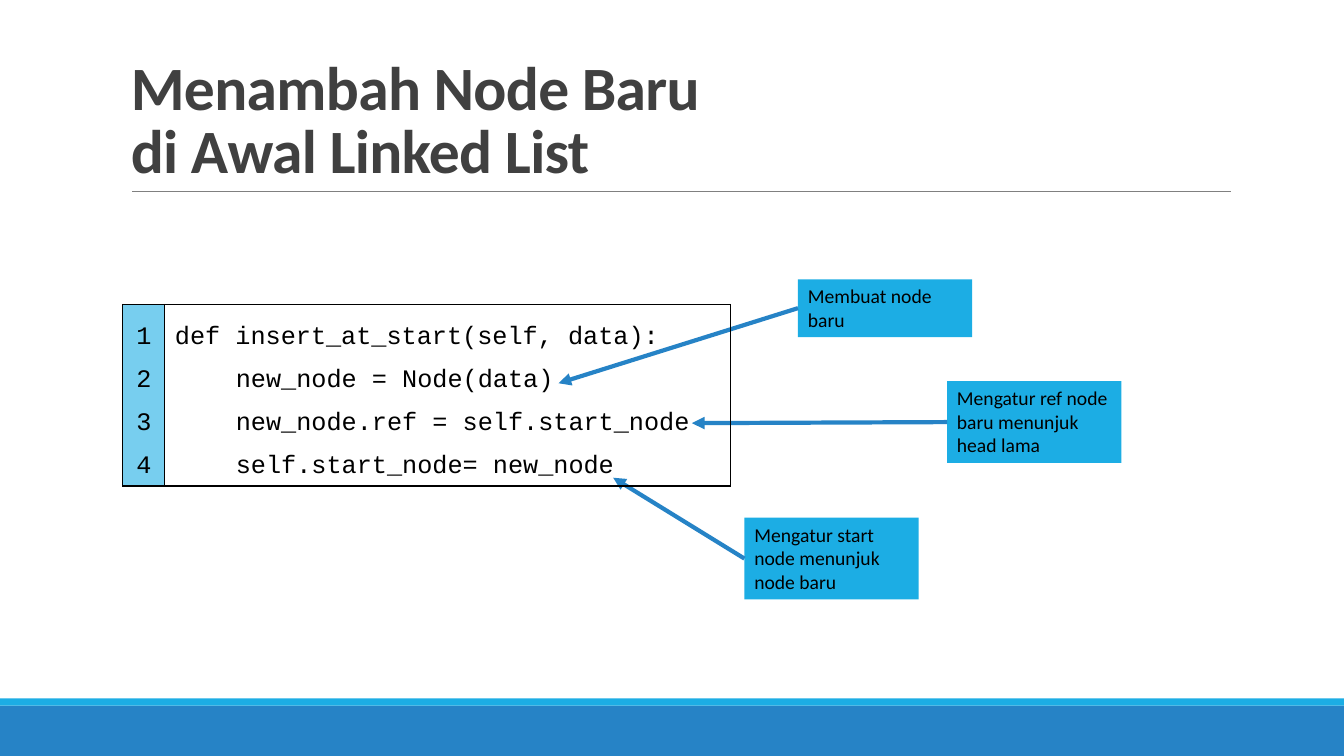
from pptx import Presentation
from pptx import util as u
from pptx.dml.color import RGBColor
from pptx.enum import shapes, text
from pptx.oxml import parse_xml
from pptx.oxml.ns import nsdecls

PX = 9525  # EMU in one px, 96 px to the inch
COLOURS = {
    "bar": "2683C6", "accent": "1CADE4", "numbers": "77CEEF",
    "rule": "808080", "title": "404040", "ink": "000000",
}
INDENT = 58  # four characters of code
CODE = [
    ("def insert_at_start(self, data):", 0),
    ("new_node = Node(data)", INDENT),
    ("new_node.ref = self.start_node", INDENT),
    ("self.start_node= new_node", INDENT),
]
CALLOUTS = [  # wording, left, top, height, arrow tip
    ("Membuat node baru", 760, 266, 55, (532, 365)),
    ("Mengatur ref node baru menunjuk head lama", 902, 363, 78, (659, 403)),
    ("Mengatur start node menunjuk node baru", 709, 493, 78, (584, 455)),
]


def px(*lengths):
    return [u.Emu(length * PX) for length in lengths]


def colour(name):
    return RGBColor.from_string(COLOURS[name])


def write(para, wording, size=14, font="Calibri", ink="ink", bold=False,
          align=text.PP_ALIGN.LEFT, spacing=1.0, tracking=0, indent=0):
    """Fill a paragraph; a vertical tab in the wording breaks the line."""
    para.text = wording
    para.alignment = align
    para.line_spacing = spacing
    if indent:
        para._p.get_or_add_pPr().set("marL", str(indent * PX))
    for span in para.runs:
        span.font.size = u.Pt(size)
        span.font.name = font
        span.font.bold = bold
        span.font.color.rgb = colour(ink)
        if tracking:
            span._r.get_or_add_rPr().set("spc", str(tracking))


def add_box(page, left, top, width, height, fill):
    box = page.shapes.add_shape(shapes.MSO_SHAPE.RECTANGLE,
                                *px(left, top, width, height))
    box.shadow.inherit = False
    box.fill.solid()
    box.fill.fore_color.rgb = colour(fill)
    box.line.fill.background()
    return box


def add_line(page, start, end, ink, weight, arrow=False):
    line = page.shapes.add_connector(shapes.MSO_CONNECTOR.STRAIGHT,
                                     *px(*start, *end))
    line.line.color.rgb = colour(ink)
    line.line.width = u.Pt(weight)
    if arrow:
        line.line._get_or_add_ln().append(
            parse_xml(f'<a:tailEnd {nsdecls("a")} type="triangle"/>'))
    line._element.spPr.append(parse_xml(f'<a:effectLst {nsdecls("a")}/>'))
    return line


def add_title(page, wording):
    title = page.shapes.title
    title.left, title.top, title.width, title.height = px(115, 30, 1056, 152)
    frame = title.text_frame
    frame.word_wrap = True
    frame.auto_size = text.MSO_AUTO_SIZE.NONE
    frame.vertical_anchor = text.MSO_ANCHOR.BOTTOM
    write(frame.paragraphs[0], wording, size=44, ink="title", bold=True,
          spacing=0.85, tracking=-50)


def add_callout(page, wording, left, top, height, tip):
    box = add_box(page, left, top, 166, height, "accent")
    frame = box.text_frame
    frame.word_wrap = True
    frame.vertical_anchor = text.MSO_ANCHOR.TOP
    write(frame.paragraphs[0], wording)
    arrow = add_line(page, (left, top + height // 2), tip, "bar", 3, arrow=True)
    arrow.begin_connect(box, 1)


def add_borders(cell):
    properties = cell._tc.get_or_add_tcPr()
    for side in "LRTB":
        properties.append(parse_xml(
            f'<a:ln{side} {nsdecls("a")} w="{u.Pt(1)}"><a:solidFill>'
            f'<a:srgbClr val="{COLOURS["ink"]}"/></a:solidFill></a:ln{side}>'))


def write_lines(cell, lines, align):
    frame = cell.text_frame
    for index, (wording, indent) in enumerate(lines):
        para = frame.add_paragraph() if index else frame.paragraphs[0]
        write(para, wording, size=18, font="Courier New", align=align,
              spacing=1.5, indent=indent)


def add_code_table(page):
    widths = px(40, 539)
    table = page.shapes.add_table(1, 2, *px(117, 290, 579, 165)).table
    table.first_row = table.horz_banding = False
    for column, width in zip(table.columns, widths):
        column.width = width
    number_cell, code_cell = table.rows[0].cells
    for cell in (number_cell, code_cell):
        add_borders(cell)
    number_cell.fill.solid()
    number_cell.fill.fore_color.rgb = colour("numbers")
    code_cell.fill.background()
    numbers = [(str(row), 0) for row in range(1, len(CODE) + 1)]
    write_lines(number_cell, numbers, text.PP_ALIGN.CENTER)
    write_lines(code_cell, CODE, text.PP_ALIGN.LEFT)


def main():
    deck = Presentation()
    deck.slide_width, deck.slide_height = px(1280, 720)
    page = deck.slides.add_slide(deck.slide_layouts[5])
    add_box(page, 0, 672, 1280, 48, "bar")
    add_box(page, 0, 665, 1280, 7, "accent")
    add_line(page, (126, 182), (1172, 182), "rule", 0.5)
    add_title(page, "Menambah Node Baru \vdi Awal Linked List")
    for callout in CALLOUTS:
        add_callout(page, *callout)
    add_code_table(page)
    deck.save("out.pptx")


if __name__ == "__main__":
    main()
